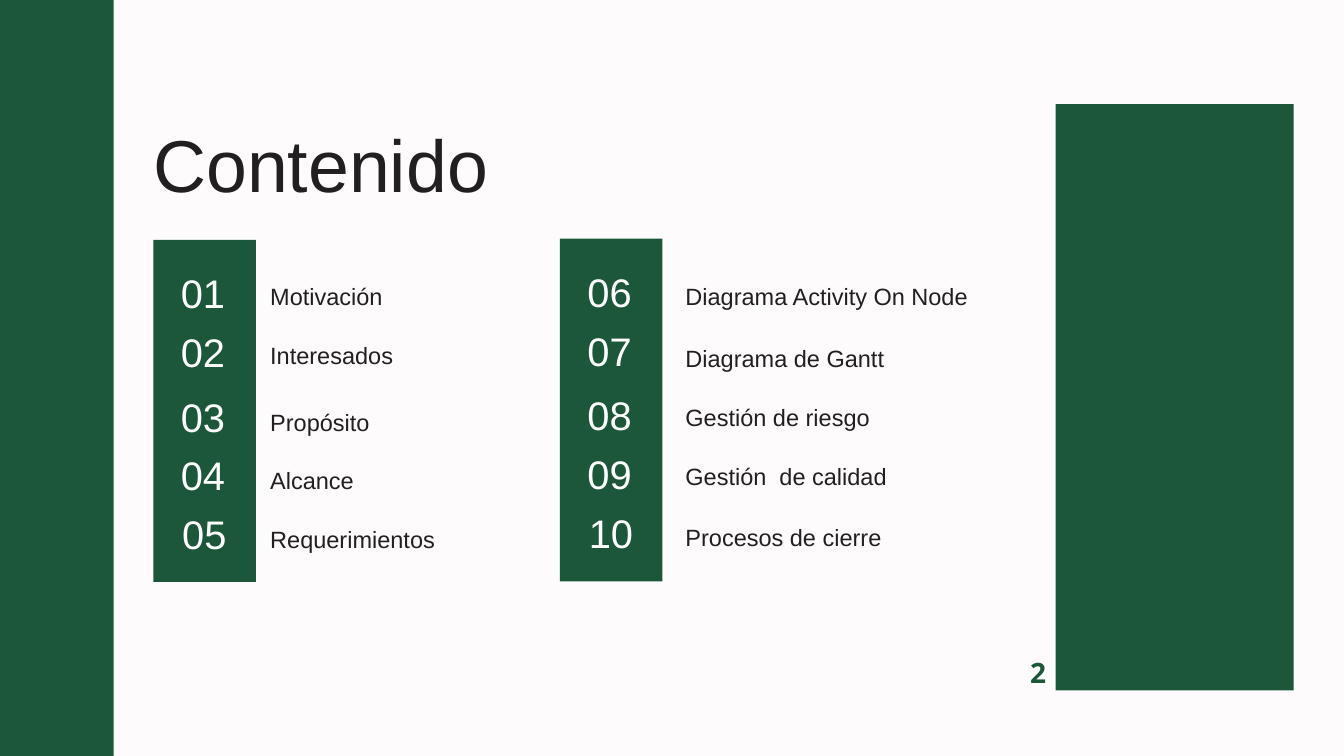
from dataclasses import dataclass

from pptx import Presentation
from pptx.dml.color import RGBColor
from pptx.enum.shapes import MSO_SHAPE
from pptx.enum.text import MSO_ANCHOR, MSO_AUTO_SIZE, PP_ALIGN
from pptx.util import Pt


@dataclass(frozen=True)
class Theme:
    """Hold the colours and text styles of the slide."""
    paper: str = "FDFBFB"
    green: str = "1C5739"
    ink: str = "231F20"
    white: str = "FFFFFF"

    def style(self, role):
        """Return colour, font values and paragraph values for a role."""
        left, mid = PP_ALIGN.LEFT, PP_ALIGN.CENTER
        color, name, size, bold, align, lead = {
            "title": (self.ink, "Arial", 78.7, False, left, 1.38),
            "number": (self.white, "Arial", 42.7, False, mid, 1.2),
            "label": (self.ink, "Arial", 25.2, False, left, 1.38),
            "page": (self.green, "Open Sans", 30, True, mid, 1.4),
        }[role]
        font = {"name": name, "size": Pt(size), "bold": bold}
        para = {"alignment": align, "line_spacing": lead}
        return color, font, para


THEME = Theme()
FRAME = {
    "margin_left": 0, "margin_top": 0, "margin_right": 0, "margin_bottom": 0,
    "word_wrap": True, "vertical_anchor": MSO_ANCHOR.TOP,
    "auto_size": MSO_AUTO_SIZE.SHAPE_TO_FIT_TEXT,
}
NUMBER_TOPS = (21, 83.5, 153, 216, 278.5)
LISTS = (
    {"box": (164.2, 257, 110, 366.5), "first": 1, "indent": 125.3, "rows": (
        ("Motivación", 33.9), ("Interesados", 96.5), ("Propósito", 168.5),
        ("Alcance", 231.2), ("Requerimientos", 294.5))},
    {"box": (599.8, 255.8, 110, 367.2), "first": 6, "indent": 134.6, "rows": (
        ("Diagrama Activity On Node", 35.1), ("Diagrama de Gantt", 101.3),
        ("Gestión de riesgo", 164.7), ("Gestión  de calidad", 227.3),
        ("Procesos de cierre", 293.6))},
)


def apply(target, values):
    """Set each named value on the target."""
    for name, value in values.items():
        setattr(target, name, value)


def write(shape, text, role):
    """Fill a text shape in the style of its role."""
    color, font, para = THEME.style(role)
    frame = shape.text_frame
    frame.text = text
    apply(frame, FRAME)
    line = frame.paragraphs[0]
    apply(line, para)
    run = line.runs[0]
    apply(run.font, font)
    run.font.color.rgb = RGBColor.from_string(color)


def add_text(slide, box, text, role):
    """Add a styled text box."""
    write(slide.shapes.add_textbox(*map(Pt, box)), text, role)


def add_block(slide, box):
    """Add a plain green block."""
    block = slide.shapes.add_shape(MSO_SHAPE.RECTANGLE, *map(Pt, box))
    block.shadow.inherit = False
    block.fill.solid()
    block.fill.fore_color.rgb = RGBColor.from_string(THEME.green)
    block.line.fill.background()


def add_title(slide, box, text):
    """Place and format the title placeholder."""
    title = slide.shapes.title
    apply(title, dict(zip(("left", "top", "width", "height"), map(Pt, box))))
    write(title, text, "title")


def add_list(slide, box, first, indent, rows):
    """Add a numbered list beside its green block."""
    left, top, width, _ = box
    add_block(slide, box)
    for step, ((label, drop), rise) in enumerate(zip(rows, NUMBER_TOPS)):
        inset = 18 if step == len(rows) - 1 else 16.5
        spot = (left + inset, top + rise, width - 36.5, 56.2)
        add_text(slide, spot, f"{first + step:02d}", "number")
        add_text(slide, (left + indent, top + drop, 470, 33.1), label, "label")


def add_side(slide, box, page):
    """Add the right block with the page number at its foot."""
    left, top, _, height = box
    add_block(slide, box)
    add_text(slide, (left - 27.4, top + height - 51.5, 17.3, 40.3), page, "page")


def main():
    """Build and save the contents slide."""
    deck = Presentation()
    apply(deck, {"slide_width": Pt(1440), "slide_height": Pt(810)})
    slide = deck.slides.add_slide(deck.slide_layouts[5])
    fill = slide.background.fill
    fill.solid()
    fill.fore_color.rgb = RGBColor.from_string(THEME.paper)
    add_block(slide, (0, 0, 121.7, 810))
    add_side(slide, (1131.1, 111.6, 254.9, 628.2), "2")
    add_title(slide, (164.2, 92.2, 482.4, 113), "Contenido")
    for item in LISTS:
        add_list(slide, **item)
    deck.save("out.pptx")


if __name__ == "__main__":
    main()
